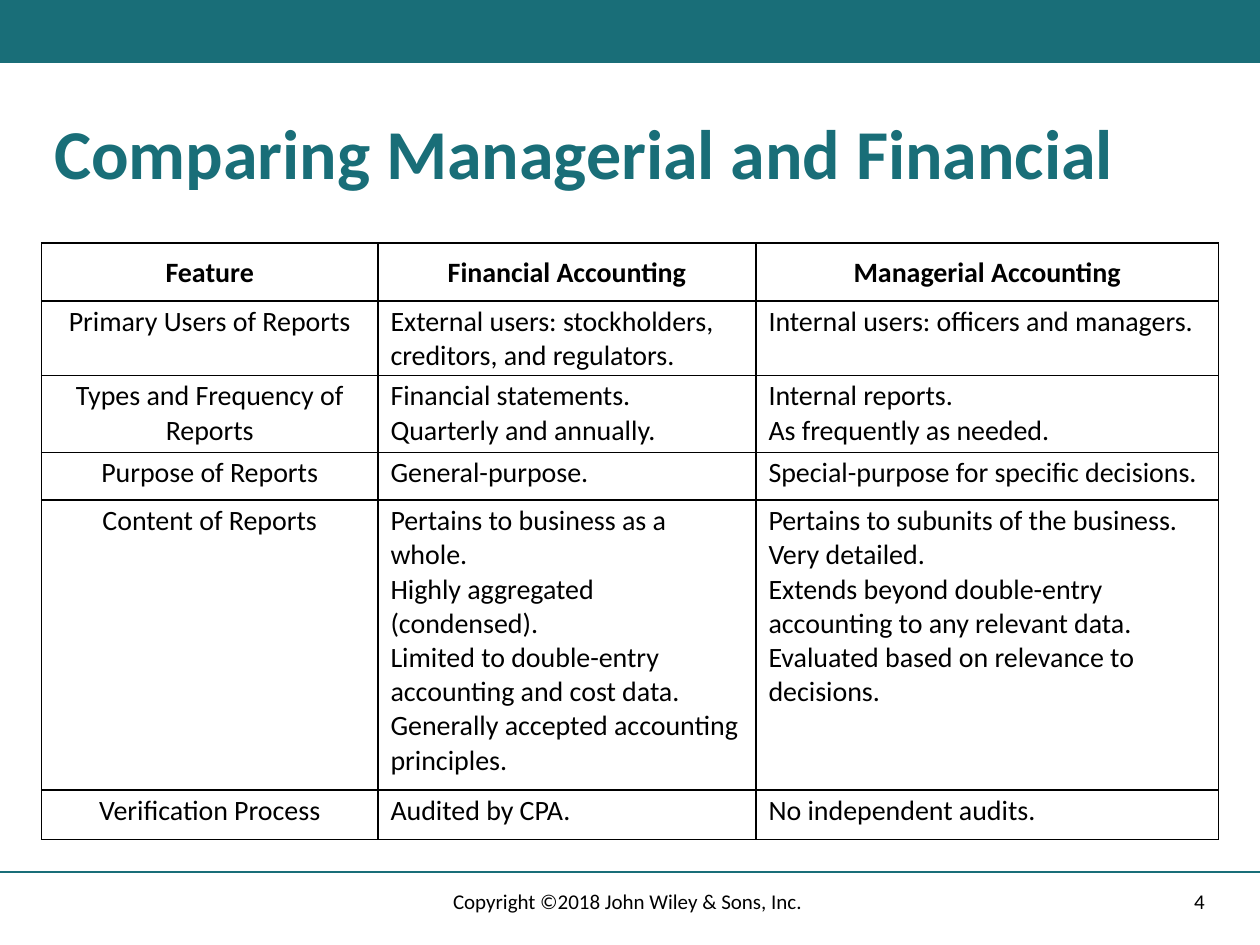
from dataclasses import dataclass

from lxml.etree import SubElement
from pptx import Presentation
from pptx.dml.color import RGBColor
from pptx.enum.shapes import MSO_CONNECTOR, MSO_SHAPE
from pptx.enum.text import MSO_ANCHOR as Anchor, PP_ALIGN as Align
from pptx.oxml.ns import qn
from pptx.util import Inches, Pt


@dataclass(frozen=True)
class Theme:
    font: str = "Calibri"
    teal: str = "196E78"
    black: str = "000000"
    white: str = "FFFFFF"
    title_size: int = 40
    table_size: int = 16
    footer_size: int = 12
    rule_width: int = 1


THEME = Theme()
COLUMN_WIDTHS = [2.67, 3, 3.67]
HEADINGS = ["Feature", "Financial Accounting", "Managerial Accounting"]
FEATURES = [
    (0.59, 0, ["Primary Users of Reports"],
     ["External users: stockholders, creditors, and regulators."],
     ["Internal users: officers and managers."]),
    (0.61, 0.03, ["Types and Frequency of Reports"],
     ["Financial statements.\nQuarterly and annually."],
     ["Internal reports.\nAs frequently as needed."]),
    (0.38, 0.03, ["Purpose of Reports"],
     ["General-purpose."],
     ["Special-purpose for specific decisions."]),
    (2.3, 0.03, ["Content of Reports"],
     ["Pertains to business as a whole.",
      "Highly aggregated (condensed).",
      "Limited to double-entry accounting and cost data.",
      "Generally accepted accounting principles."],
     ["Pertains to subunits of the business.",
      "Very detailed.",
      "Extends beyond double-entry accounting to any relevant data.",
      "Evaluated based on relevance to decisions."]),
    (0.39, 0.09, ["Verification Process"],
     ["Audited by CPA."],
     ["No independent audits."]),
]


def write_text(frame, paragraphs, size, color=THEME.black, bold=False,
               align=Align.LEFT, line_spacing=None):
    frame.word_wrap = True
    for index, wording in enumerate(paragraphs):
        paragraph = frame.paragraphs[0] if index == 0 else frame.add_paragraph()
        paragraph.text = wording
        paragraph.alignment = align
        paragraph.line_spacing = line_spacing
        for run in paragraph.runs:
            run.font.name = THEME.font
            run.font.size = Pt(size)
            run.font.bold = bold
            run.font.color.rgb = RGBColor.from_string(color)


def add_top_band(slide, width):
    band = slide.shapes.add_shape(MSO_SHAPE.RECTANGLE, 0, 0, width, Inches(0.5))
    band.shadow.inherit = False
    band.fill.solid()
    band.fill.fore_color.rgb = RGBColor.from_string(THEME.teal)
    band.line.fill.background()


def add_footer_rule(slide, width):
    height = Inches(6.92)
    rule = slide.shapes.add_connector(MSO_CONNECTOR.STRAIGHT, 0, height, width, height)
    rule.line.color.rgb = RGBColor.from_string(THEME.teal)
    rule.line.width = Pt(THEME.rule_width)
    SubElement(rule._element.spPr, qn("a:effectLst"))


def place_title(slide, wording):
    title = slide.shapes.title
    title.left, title.top = Inches(0.33), Inches(0.83)
    title.width, title.height = Inches(9.33), Inches(0.83)
    title.text_frame.vertical_anchor = Anchor.MIDDLE
    write_text(title.text_frame, [wording], THEME.title_size, color=THEME.teal,
               bold=True, line_spacing=0.9)


def add_footer_text(slide, wording, left, width, align):
    footer = slide.shapes.add_textbox(Inches(left), Inches(6.95), Inches(width), Inches(0.4))
    footer.text_frame.vertical_anchor = Anchor.MIDDLE
    write_text(footer.text_frame, [wording], THEME.footer_size, align=align)


def add_borders(cell):
    properties = cell._tc.get_or_add_tcPr()
    for position, side in enumerate(("a:lnL", "a:lnR", "a:lnT", "a:lnB")):
        border = SubElement(properties, qn(side), w=str(Pt(THEME.rule_width)))
        fill = SubElement(border, qn("a:solidFill"))
        SubElement(fill, qn("a:srgbClr"), val=THEME.black)
        properties.insert(position, border)


def fill_cell(cell, paragraphs, top, bottom, anchor=Anchor.TOP, **text_format):
    cell.margin_left = cell.margin_right = Inches(0.1)
    cell.margin_top, cell.margin_bottom = Inches(top), Inches(bottom)
    cell.vertical_anchor = anchor
    cell.fill.solid()
    cell.fill.fore_color.rgb = RGBColor.from_string(THEME.white)
    add_borders(cell)
    write_text(cell.text_frame, paragraphs, THEME.table_size, **text_format)


def add_comparison(slide):
    comparison = slide.shapes.add_table(
        len(FEATURES) + 1, len(HEADINGS),
        Inches(0.33), Inches(1.93), Inches(9.33), Inches(4.73)).table
    comparison.first_row = comparison.horz_banding = False
    for column, width in zip(comparison.columns, COLUMN_WIDTHS):
        column.width = Inches(width)

    comparison.rows[0].height = Inches(0.46)
    for column, heading in enumerate(HEADINGS):
        fill_cell(comparison.cell(0, column), [heading], 0.09, 0.09,
                  anchor=Anchor.BOTTOM, bold=True, align=Align.CENTER)

    for row, (height, bottom, *entries) in enumerate(FEATURES, start=1):
        comparison.rows[row].height = Inches(height)
        for column, paragraphs in enumerate(entries):
            fill_cell(comparison.cell(row, column), paragraphs, 0.03, bottom,
                      align=Align.LEFT if column else Align.CENTER)


def main():
    deck = Presentation()
    deck.slide_width, deck.slide_height = Inches(10), Inches(7.5)
    slide = deck.slides.add_slide(deck.slide_layouts[5])
    add_top_band(slide, deck.slide_width)
    add_footer_rule(slide, deck.slide_width)
    place_title(slide, "Comparing Managerial and Financial")
    add_comparison(slide)
    add_footer_text(slide, "4", 7.06, 2.6, Align.RIGHT)
    add_footer_text(slide, "Copyright ©2018 John Wiley & Sons, Inc. ", 3.31, 3.38, Align.CENTER)
    deck.save("out.pptx")


if __name__ == "__main__":
    main()
